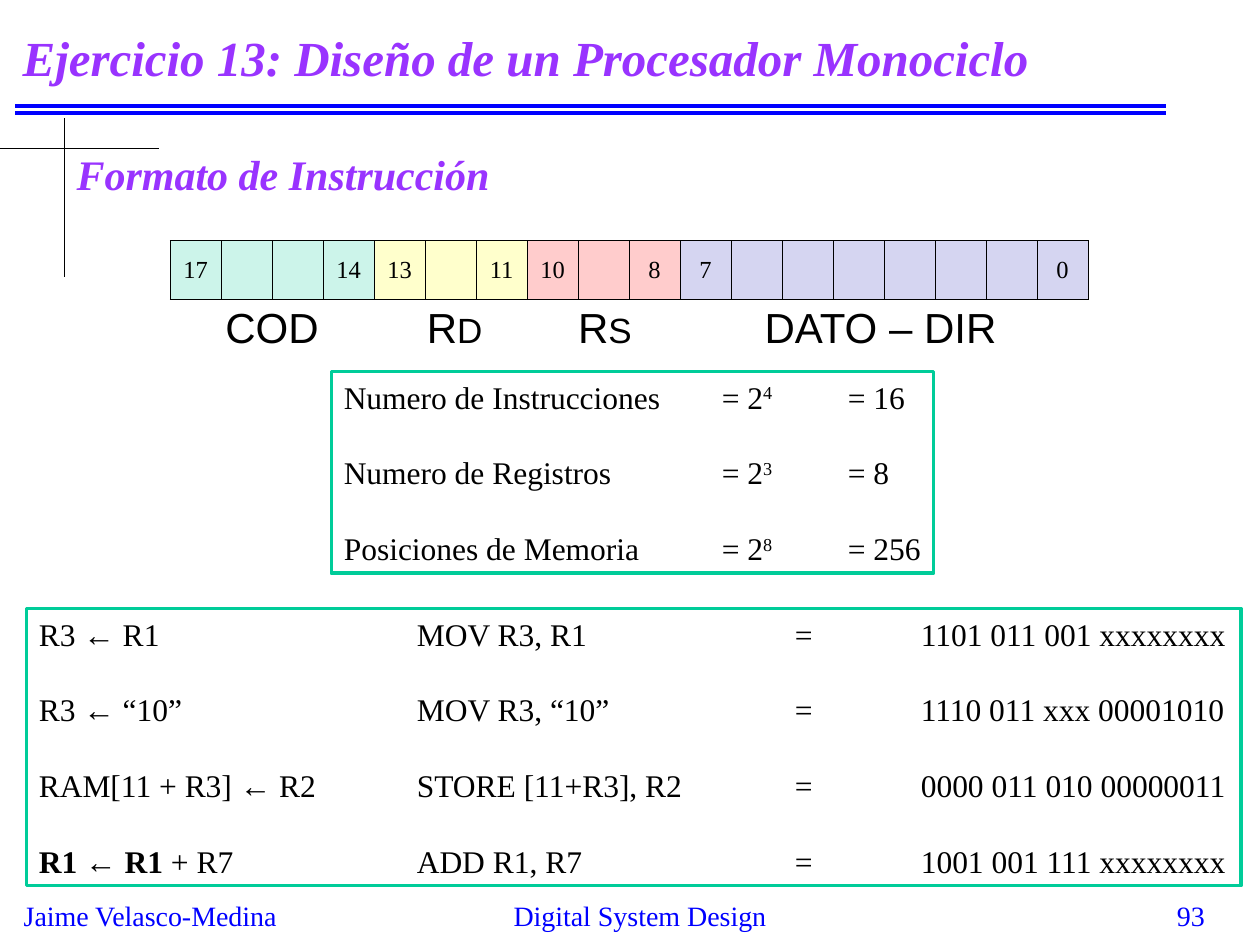
from lxml import etree
from pptx import Presentation
from pptx.dml.color import RGBColor
from pptx.enum.shapes import MSO_CONNECTOR as Link, MSO_SHAPE as Form
from pptx.enum.text import MSO_ANCHOR as Anchor, MSO_AUTO_SIZE as Auto, PP_ALIGN as Align
from pptx.oxml.ns import qn
from pptx.util import Inches, Pt

HUES = {"blue": "0000FF", "violet": "9933FF", "black": "000000", "white": "FFFFFF",
        "green": "00CC99", "yellow": "FFFF00", "red": "FF0000", "navy": "2D2DB9"}
SERIF, SANS = "Times New Roman", "Arial"
FIELDS = [("green", 17, 14), ("yellow", 13, 11), ("red", 10, 8), ("navy", 7, 0)]
NAMES = [(3.29, 0.64, [("R", 24), ("D", 20)]), (4.49, 0.64, [("R", 24), ("S", 20)]),
         (1.69, 0.94, [("COD", 24)]), (5.97, 2.07, [("DATO – DIR", 24)])]
SIZES = [
    [("Numero de Instrucciones \t= 2", ""), ("4 \t", "sup"), ("= 16", "")],
    [("Numero de Registros \t= 2", ""), ("3 \t", "sup"), ("= 8", "")],
    [("Posiciones de Memoria \t= 2", ""), ("8 \t", "sup"), ("= 256", "")],
]
CODES = [
    [("R3 ← R1 \t\tMOV R3, R1\t\t=\t1101 011 001 xxxxxxxx", "")],
    [("R3 ← “10”\t\tMOV R3, “10”\t\t=\t1110 011 xxx 00001010", "")],
    [("RAM[11 + R3] ← R2\tSTORE [11+R3], R2\t=\t0000 011 010 00000011", "")],
    [("R1 ", "bold"), ("← ", ""), ("R1", "bold"),
     (" + R7\t\tADD R1, R7\t\t=\t1001 001 111 xxxxxxxx", "")],
]


def hue(name):
    """Return the colour with this name."""
    return RGBColor.from_string(HUES[name])


def style(run, size, tint="black", face=SERIF, bold=False, slant=False):
    """Set the font of a run."""
    font = run.font
    font.name, font.size, font.bold, font.italic = face, Pt(size), bold, slant
    font.color.rgb = hue(tint)


def add_line(slide, ends, tint, width):
    """Draw a straight line without a shadow."""
    line = slide.shapes.add_connector(Link.STRAIGHT, *map(Inches, ends))
    line.line.color.rgb = hue(tint)
    line.line.width = Pt(width)
    etree.SubElement(line._element.spPr, qn("a:effectLst"))


def fill_text(shape, text, size, tint, align=Align.LEFT, **look):
    """Put one line of text in a shape."""
    frame = shape.text_frame
    frame.text = text
    frame.paragraphs[0].alignment = align
    style(frame.paragraphs[0].runs[0], size, tint, **look)


def add_text(slide, at, text, size, tint, wrap=True, **look):
    """Add a text box with one line."""
    box = slide.shapes.add_textbox(*map(Inches, at))
    box.text_frame.word_wrap = wrap
    fill_text(box, text, size, tint, **look)
    return box


def add_title(slide, text):
    """Place and format the title."""
    title = slide.shapes.title
    title.left, title.top, title.width, title.height = map(Inches, (0.08, 0.08, 9.17, 0.75))
    title.text_frame.auto_size = Auto.NONE
    title.text_frame.vertical_anchor = Anchor.MIDDLE
    fill_text(title, text, 28, "violet", bold=True, slant=True)


def add_name(slide, left, width, parts):
    """Label a field of the instruction word."""
    box = slide.shapes.add_textbox(*map(Inches, (left, 2.34, width, 0.5)))
    box.text_frame.word_wrap = False
    box.text_frame.auto_size = Auto.SHAPE_TO_FIT_TEXT
    for text, size in parts:
        run = box.text_frame.paragraphs[0].add_run()
        run.text = text
        style(run, size, face=SANS)


def paint_cell(cell, tint):
    """Give a cell a pale fill and thin black borders."""
    cell.fill.solid()
    cell.fill.fore_color.rgb = hue(tint)
    props = cell._tc.get_or_add_tcPr()
    tone = props.find(qn("a:solidFill"))[0]
    etree.SubElement(tone, qn("a:alpha"), val="20000")
    for spot, side in enumerate(("lnL", "lnR", "lnT", "lnB")):
        edge = etree.Element(qn("a:" + side), w=str(Pt(0.45)))
        ink = etree.SubElement(edge, qn("a:solidFill"))
        etree.SubElement(ink, qn("a:srgbClr"), val=HUES["black"])
        props.insert(spot, edge)


def add_word(slide):
    """Add the table of instruction bits."""
    count = FIELDS[0][1] + 1
    at = map(Inches, (1.35, 1.91, 7.29, 0.47))
    table = slide.shapes.add_table(1, count, *at).table
    table.first_row = table.horz_banding = False
    for tint, high, low in FIELDS:
        for bit in range(high, low - 1, -1):
            cell = table.cell(0, count - 1 - bit)
            paint_cell(cell, tint)
            cell.vertical_anchor = Anchor.MIDDLE
            if bit in (high, low):
                fill_text(cell, str(bit), 14, "black", Align.CENTER)


def add_tabs(para):
    """Set a tab stop at each inch."""
    tabs = etree.SubElement(para._p.get_or_add_pPr(), qn("a:tabLst"))
    for inch in range(8):
        etree.SubElement(tabs, qn("a:tab"), pos=str(Inches(inch)), algn="l")


def add_panel(slide, at, rows):
    """Add a framed box with tabbed rows."""
    box = slide.shapes.add_shape(Form.RECTANGLE, *map(Inches, at))
    box.shadow.inherit = False
    box.fill.solid()
    box.fill.fore_color.rgb = hue("white")
    box.line.color.rgb = hue("green")
    box.line.width = Pt(2)
    frame = box.text_frame
    frame.word_wrap = False
    frame.vertical_anchor = Anchor.TOP
    for spot, row in enumerate(rows):
        para = frame.add_paragraph() if spot else frame.paragraphs[0]
        add_tabs(para)
        para.alignment = Align.LEFT
        if spot:
            para.space_before = Pt(21.6)
        for text, kind in row:
            run = para.add_run()
            run.text = text
            style(run, 18, bold=kind == "bold")
            if kind == "sup":
                run._r.get_or_add_rPr().set("baseline", "30000")


def main():
    """Build the slide."""
    deck = Presentation()
    deck.slide_width, deck.slide_height = Inches(10), Inches(7.5)
    slide = deck.slides.add_slide(deck.slide_layouts[5])
    for top in (0.84, 0.9):
        add_line(slide, (0.12, top, 9.25, top), "blue", 2.25)
    add_text(slide, (0.09, 7.08, 2.24, 0.37), "Jaime Velasco-Medina", 16, "blue", wrap=False)
    add_text(slide, (3.33, 7.08, 3.5, 0.33), "Digital System Design", 16, "blue",
             align=Align.CENTER)
    add_text(slide, (7.58, 7.08, 2.08, 0.25), "93", 16, "blue", align=Align.RIGHT)
    add_line(slide, (0, 1.18, 1.26, 1.18), "black", 0.75)
    add_line(slide, (0.51, 0.94, 0.51, 2.2), "black", 0.75)
    add_title(slide, "Ejercicio 13: Diseño de un Procesador Monociclo")
    head = add_text(slide, (0.51, 1, 9.17, 0.75), "Formato de Instrucción", 24, "violet",
                    bold=True, slant=True)
    head.text_frame.vertical_anchor = Anchor.MIDDLE
    add_word(slide)
    for name in NAMES:
        add_name(slide, *name)
    add_panel(slide, (2.63, 2.95, 4.78, 1.6), SIZES)
    add_panel(slide, (0.21, 4.83, 9.64, 2.2), CODES)
    deck.save("out.pptx")


if __name__ == "__main__":
    main()
